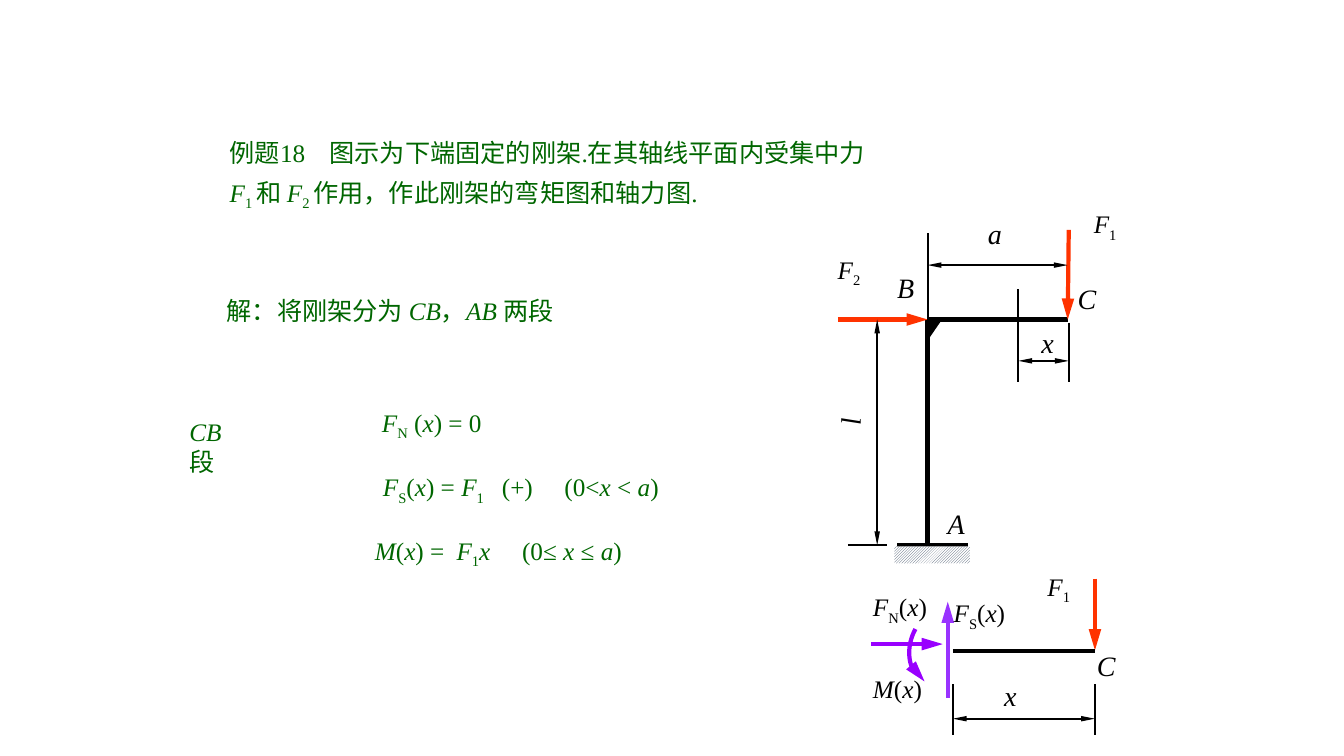
from lxml import etree
from pptx import Presentation
from pptx.dml.color import RGBColor
from pptx.enum.dml import MSO_PATTERN
from pptx.enum.shapes import MSO_CONNECTOR, MSO_SHAPE
from pptx.enum.text import MSO_AUTO_SIZE
from pptx.oxml.ns import qn
from pptx.util import Inches, Pt

STRAIGHT = MSO_CONNECTOR.STRAIGHT
RECT, TRIANGLE = MSO_SHAPE.RECTANGLE, MSO_SHAPE.ISOSCELES_TRIANGLE
HATCH = MSO_PATTERN.DARK_UPWARD_DIAGONAL
GROW = MSO_AUTO_SIZE.SHAPE_TO_FIT_TEXT
COLORS = {"text": "006600", "black": "000000", "load": "FF3300", "force": "9900FF",
          "shear": "9933FF", "hatch": "44546A", "white": "FFFFFF"}
CELL = 0.1  # grid cell in inches
THICK, THIN = 3, 1.5
BODY, LABEL = 18, 20


def grid(n):
    return Inches(n * CELL)


def rgb(name):
    return RGBColor.from_string(COLORS[name])


class FrameSlide:
    font = "Times New Roman"

    def __init__(self, prs):
        self.shapes = prs.slides.add_slide(prs.slide_layouts[6]).shapes

    def text(self, col, row, cols, *lines, size=BODY, color="text", tabs=(), rotation=0):
        """Add a box; runs are split by |, with / for italic and _ for subscript."""
        height = 4 if size == BODY else 4.3
        sp = self.shapes.add_textbox(grid(col), grid(row), grid(cols), grid(height))
        sp.rotation = rotation
        tf = sp.text_frame
        tf.word_wrap, tf.auto_size = True, GROW
        for i, line in enumerate(lines):
            p = tf.add_paragraph() if i else tf.paragraphs[0]
            if tabs:
                stops = etree.SubElement(p._p.get_or_add_pPr(), qn("a:tabLst"))
                for stop in tabs:
                    etree.SubElement(stops, qn("a:tab"), pos=str(grid(stop)), algn="l")
            if i:
                p.space_before = Pt(0.4 * size)
            for part in line.split("|"):
                self.run(p, part, size, color)

    def run(self, p, part, size, color):
        r = p.add_run()
        r.text = part.lstrip("/_")
        style = {"name": self.font, "size": Pt(size), "italic": part.startswith("/")}
        for key, value in style.items():
            setattr(r.font, key, value)
        r.font.color.rgb = rgb(color)
        if part.startswith("_"):
            r._r.get_or_add_rPr().set("baseline", "-25000")

    def label(self, col, row, cols, line, size=LABEL, rotation=0):
        self.text(col, row, cols, line, size=size, color="black", rotation=rotation)

    def stroke(self, sp, width, color, ends):
        sp.line.width = Pt(width)
        sp.line.color.rgb = rgb(color)
        ln = sp.line._get_or_add_ln()
        for end in ends:
            etree.SubElement(ln, qn(f"a:{end}"), type="triangle",
                             w="med" if width == THICK else "sm", len="lg")

    def line(self, x1, y1, x2, y2, width=THIN, color="black", ends=()):
        sp = self.shapes.add_connector(STRAIGHT, grid(x1), grid(y1), grid(x2), grid(y2))
        self.stroke(sp, width, color, ends)
        etree.SubElement(sp._element.spPr, qn("a:effectLst"))

    def arrow(self, x1, y1, x2, y2, color):
        self.line(x1, y1, x2, y2, THICK, color, ("tailEnd",))

    def dimension(self, x1, y1, x2, y2):
        self.line(x1, y1, x2, y2, ends=("headEnd", "tailEnd"))

    def shape(self, kind, col, row, cols, rows):
        sp = self.shapes.add_shape(kind, grid(col), grid(row), grid(cols), grid(rows))
        sp.shadow.inherit = False
        sp.line.fill.background()
        return sp

    def hatching(self, col, row, cols, rows):
        fill = self.shape(RECT, col, row, cols, rows).fill
        fill.patterned()
        fill.pattern = HATCH
        fill.fore_color.rgb, fill.back_color.rgb = rgb("hatch"), rgb("white")

    def gusset(self, col, row, side):
        sp = self.shape(TRIANGLE, col, row, side, side)
        sp.adjustments[0] = 0
        sp.rotation = 79.4
        sp.fill.solid()
        sp.fill.fore_color.rgb = rgb("black")

    def curved_arrow(self, controls, color, steps=24):
        """Draw a cubic Bezier through its four control points."""
        points = []
        for k in range(steps + 1):
            t = k / steps
            weights = ((1 - t) ** 3, 3 * t * (1 - t) ** 2, 3 * t ** 2 * (1 - t), t ** 3)
            points.append([grid(sum(w * c[axis] for w, c in zip(weights, controls)))
                           for axis in (0, 1)])
        builder = self.shapes.build_freeform(*points[0], scale=1.0)
        builder.add_line_segments(points[1:], close=False)
        sp = builder.convert_to_shape()
        sp.shadow.inherit = False
        sp.fill.background()
        self.stroke(sp, THICK, color, ("tailEnd",))


def draw_solution(s):
    s.text(21.8, 13.1, 86.6, "例题18\t图示为下端固定的刚架.在其轴线平面内受集中力",
           "/F|_1 |和 |/F|_2 |作用，作此刚架的弯矩图和轴力图.", tabs=(9.9,))
    s.text(21.5, 28.8, 47.5, "解：将刚架分为 |/CB|，|/AB |两段")
    s.text(17.8, 40.8, 8, "/CB |段")
    s.text(36.9, 39.9, 14, "/F|_N| (|/x|) = 0")
    s.text(37, 46.3, 41.7, "/F|_S|(|/x|) = |/F|_1|\t(+)\t(0<|/x |< |/a|)", tabs=(11.8, 18))
    s.text(36.2, 52.6, 29, "/M|(|/x|) =\t|/F|_1|/x|\t(0≤ |/x |≤ |/a|)", tabs=(8.1, 14.6))


def draw_frame(s):
    column, tip, beam, base = 92, 105.9, 31.7, 54.1
    s.line(89, base, 96, base, THICK)
    s.line(column, beam, tip, beam, THICK)
    s.line(column, beam, column, base, THICK)
    s.arrow(106, 22.8, tip, beam, "load")
    s.arrow(83.1, beam, column, beam, "load")
    s.line(84.1, base, 88, base)
    s.dimension(87, beam, 87, base)
    s.line(column, beam, column, 23.1)
    s.dimension(column, 26.3, tip, 26.3)
    s.hatching(88.7, 54.2, 7.5, 1.7)
    s.gusset(column, beam, 1.7)
    s.line(106, 32, 106, 37.9)
    s.line(101, 28.7, 101, 37.9)
    s.dimension(101, 35.8, 106, 35.8)
    for col, row, cols, name in ((97, 21, 6.9, "/a"), (93, 49.8, 7, "/A"),
                                 (88, 26.3, 6.9, "/B"), (105.9, 27.4, 8.9, "/C"),
                                 (102.3, 31.8, 4.2, "/x")):
        s.label(col, row, cols, name)
    s.label(79.9, 36.8, 8.6, "/l", rotation=268.8)
    s.label(107.5, 20.2, 11.9, "/F|_1", BODY)
    s.label(82.1, 24.7, 6, "/F|_2", BODY)


def draw_cut_segment(s):
    cut, tip, axis = 94.5, 108.6, 64.6
    s.curved_arrow(((90.8, 62.4), (89.7, 64.4), (90.1, 66.8), (91.7, 67.6)), "force")
    s.arrow(86.4, 63.9, 93.5, 63.9, "force")
    s.arrow(94, 69.2, 94, 59.7, "shear")
    s.arrow(tip, 57.4, tip, 64.5, "load")
    s.line(cut, axis, tip, axis, THICK)
    for x in (cut, tip):
        s.line(x, 67.9, x, 72.9)
    s.dimension(cut, 71.3, tip, 71.3)
    s.label(107.8, 63.8, 6.7, "/C")
    s.label(98.6, 66.8, 6.7, "/x")
    for col, row, cols, name in ((85.6, 66.3, 9.2, "/M|(|/x|)"),
                                 (85.6, 58.2, 9.2, "/F|_N|(|/x|)"),
                                 (93.6, 58.8, 9.8, "/F|_S|(|/x|)"),
                                 (102.9, 56.2, 11.9, "/F|_1")):
        s.label(col, row, cols, name, BODY)


def main():
    prs = Presentation()
    prs.slide_width, prs.slide_height = Inches(13.33), Inches(7.5)
    s = FrameSlide(prs)
    draw_solution(s)
    draw_frame(s)
    draw_cut_segment(s)
    prs.save("out.pptx")


if __name__ == "__main__":
    main()
